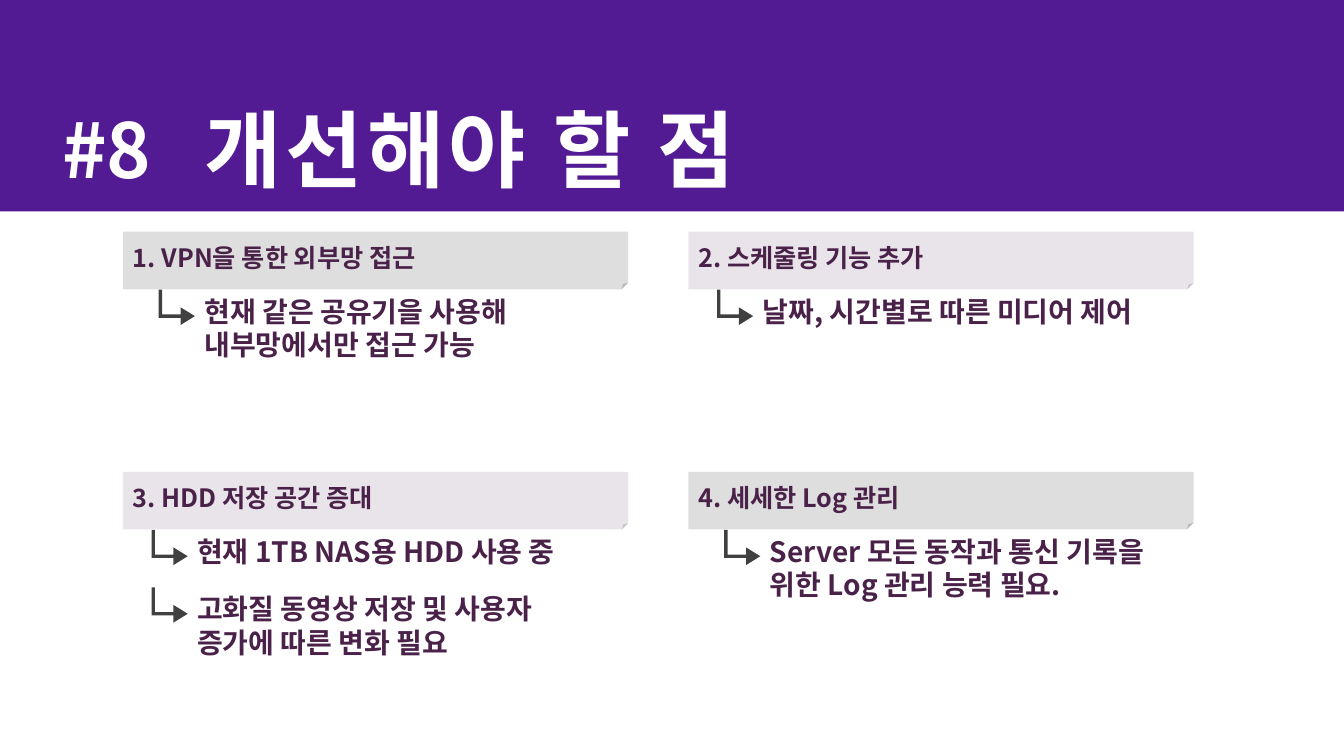
from dataclasses import dataclass

from lxml.etree import SubElement
from pptx import Presentation
from pptx.dml.color import RGBColor
from pptx.enum.shapes import MSO_SHAPE
from pptx.enum.text import MSO_ANCHOR, MSO_AUTO_SIZE, PP_ALIGN
from pptx.oxml.ns import qn
from pptx.shapes.autoshape import Shape
from pptx.shapes.shapetree import GroupShapes
from pptx.text.text import TextFrame
from pptx.util import Cm, Pt

FONT = "Noto Sans CJK KR"
PURPLE = RGBColor(0x52, 0x1B, 0x93)
WHITE = RGBColor(0xFF, 0xFF, 0xFF)
PLUM = RGBColor(0x4A, 0x22, 0x49)
GRAY = RGBColor(0xBF, 0xBF, 0xBF)
LILAC = RGBColor(0xD5, 0xCB, 0xD7)
DARK = RGBColor(0x40, 0x40, 0x40)

COLUMNS = (3.1, 17.35)
ROWS = (5.84, 11.89)
CARD_W, CARD_H = 12.73, 1.45
ARROW_W, ARROW_H = 0.89, 0.91
NOTE_STEP = 1.45
LINE_H, PADDING = 0.86, 0.25


@dataclass(frozen=True)
class Note:
    text: str
    lines: int


@dataclass(frozen=True)
class Topic:
    column: int
    row: int
    heading: str
    fill: RGBColor
    fold: int
    indent: float
    note_width: float
    notes: tuple[Note, ...]


TOPICS = (
    Topic(0, 0, "1. VPN을 통한 외부망 접근", GRAY, 11300, 1.8, 10.49,
          (Note("현재 같은 공유기을 사용해\n내부망에서만 접근 가능", 2),)),
    Topic(1, 1, "4. 세세한 Log 관리", GRAY, 11300, 1.8, 10.72,
          (Note("Server 모든 동작과 통신 기록을 위한 Log 관리 능력 필요.", 2),)),
    Topic(1, 0, "2. 스케줄링 기능 추가", LILAC, 10600, 1.62, 10.9,
          (Note("날짜, 시간별로 따른 미디어 제어", 1),)),
    Topic(0, 1, "3. HDD 저장 공간 증대", LILAC, 10600, 1.62, 10.49,
          (Note("현재 1TB NAS용 HDD 사용 중", 1),
           Note("고화질 동영상 저장 및 사용자 증가에 따른 변화 필요", 2))),
)


def write(tf: TextFrame, text: str, size: int, color: RGBColor, spacing: int = 0) -> None:
    tf.text = text
    for p in tf.paragraphs:
        p.alignment = PP_ALIGN.LEFT
        for r in p.runs:
            r.font.size = Pt(size)
            r.font.bold = True
            r.font.color.rgb = color
            r.font.name = FONT
            rpr = r.font._element
            SubElement(rpr, qn("a:ea")).set("typeface", FONT)
            if spacing:
                rpr.set("spc", str(spacing * 100))


def add_text(shapes: GroupShapes, left: float, top: float, width: float, height: float,
             text: str, size: int, color: RGBColor, wrap: bool = True,
             spacing: int = 0) -> None:
    tf = shapes.add_textbox(Cm(left), Cm(top), Cm(width), Cm(height)).text_frame
    tf.word_wrap = wrap
    tf.auto_size = MSO_AUTO_SIZE.SHAPE_TO_FIT_TEXT
    write(tf, text, size, color, spacing)


def add_filled(shapes: GroupShapes, kind: MSO_SHAPE, left: float, top: float,
               width: float, height: float, fill: RGBColor) -> Shape:
    sp = shapes.add_shape(kind, Cm(left), Cm(top), Cm(width), Cm(height))
    sp.shadow.inherit = False
    sp.fill.solid()
    sp.fill.fore_color.rgb = fill
    sp.line.fill.background()
    return sp


def add_card(shapes: GroupShapes, topic: Topic) -> None:
    sp = add_filled(shapes, MSO_SHAPE.FOLDED_CORNER, COLUMNS[topic.column],
                    ROWS[topic.row], CARD_W, CARD_H, topic.fill)
    geometry = sp._element.spPr.find(qn("a:prstGeom"))
    for child in list(geometry):
        geometry.remove(child)
    guide = SubElement(SubElement(geometry, qn("a:avLst")), qn("a:gd"))
    guide.set("name", "adj")
    guide.set("fmla", f"val {topic.fold}")
    color = sp._element.spPr.find(qn("a:solidFill")).find(qn("a:srgbClr"))
    SubElement(color, qn("a:alpha")).set("val", "50000")
    sp.text_frame.word_wrap = True
    sp.text_frame.vertical_anchor = MSO_ANCHOR.MIDDLE
    write(sp.text_frame, topic.heading, 18, PLUM)


def add_arrow(shapes: GroupShapes, left: float, top: float) -> None:
    sp = add_filled(shapes, MSO_SHAPE.BENT_UP_ARROW, left, top, ARROW_W, ARROW_H, DARK)
    for i, value in enumerate((0.096, 0.25, 0.404)):
        sp.adjustments[i] = value
    sp.rotation = 90


def add_topic(shapes: GroupShapes, topic: Topic) -> None:
    group = shapes.add_group_shape().shapes
    add_card(group, topic)
    left = COLUMNS[topic.column] + topic.indent
    for i, note in enumerate(topic.notes):
        top = ROWS[topic.row] + CARD_H + i * NOTE_STEP
        add_text(group, left, top, topic.note_width, note.lines * LINE_H + PADDING,
                 note.text, 20, PLUM)
        add_arrow(group, left - ARROW_W, top)


prs = Presentation()
prs.slide_width, prs.slide_height = Cm(33.87), Cm(19.05)
s = prs.slides.add_slide(prs.slide_layouts[6])
add_filled(s.shapes, MSO_SHAPE.RECTANGLE, 0, 0, 33.87, 5.33, PURPLE)
add_text(s.shapes, 1.32, 2.46, 3.02, 2.54, "#8", 54, WHITE, wrap=False)
add_text(s.shapes, 4.9, 2.34, 25.22, 2.79, "개선해야 할 점", 60, WHITE, spacing=3)
for topic in TOPICS:
    add_topic(s.shapes, topic)
prs.save("out.pptx")
